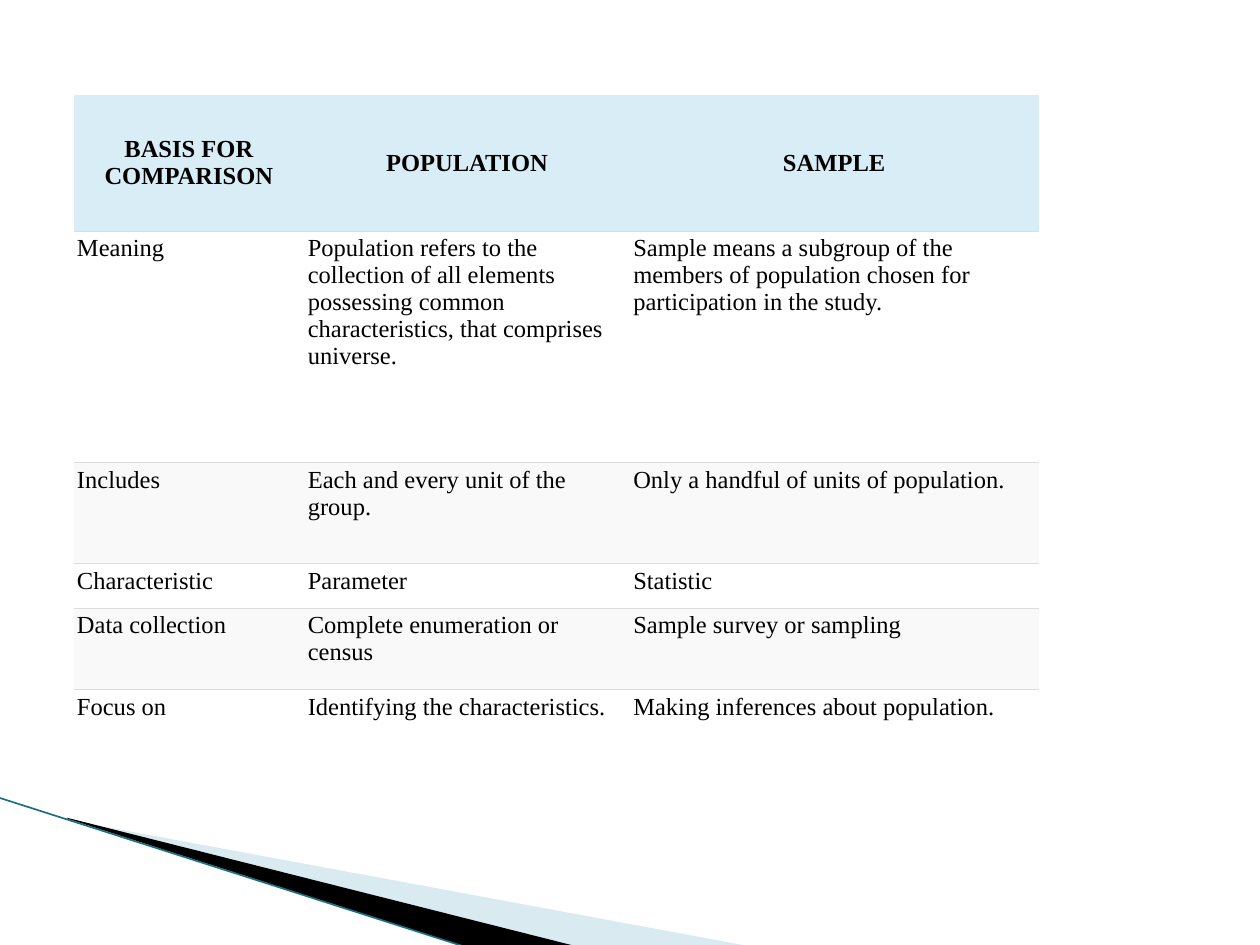
from pptx import Presentation
from pptx.dml.color import RGBColor
from pptx.enum.shapes import MSO_CONNECTOR
from pptx.enum.text import MSO_ANCHOR, PP_ALIGN
from pptx.oxml.ns import qn
from pptx.util import Pt
from lxml.etree import SubElement

FONT = "Times New Roman"
COLUMN_WIDTHS = [131.9, 186, 233.6]
ROW_HEIGHTS = [77.7, 132.5, 57.7, 25.2, 46.8, 57.6]
ROWS = [
    ["BASIS FOR COMPARISON", "POPULATION", "SAMPLE"],
    ["Meaning",
     "Population refers to the collection of all elements possessing common "
     "characteristics, that comprises universe.",
     "Sample means a subgroup of the members of population chosen for "
     "participation in the study."],
    ["Includes", "Each and every unit of the group.",
     "Only a handful of units of population."],
    ["Characteristic", "Parameter", "Statistic"],
    ["Data collection", "Complete enumeration or census",
     "Sample survey or sampling"],
    ["Focus on", "Identifying the characteristics.",
     "Making inferences about population."],
]


def color(hex_string):
    return RGBColor.from_string(hex_string)


def set_borders(cell, top, bottom):
    """Draw thin grey rules above and below where asked, and no other border."""
    properties = cell._tc.get_or_add_tcPr()
    sides = [("a:lnL", False), ("a:lnR", False), ("a:lnT", top), ("a:lnB", bottom)]
    for position, (tag, visible) in enumerate(sides):
        line = SubElement(properties, qn(tag), w=str(Pt(0.5)))
        if visible:
            fill = SubElement(line, qn("a:solidFill"))
            SubElement(fill, qn("a:srgbClr"), val="DDDDDD")
        else:
            SubElement(line, qn("a:noFill"))
        properties.insert(position, line)


def format_cell(cell, text, is_header, fill):
    cell.fill.solid()
    cell.fill.fore_color.rgb = color(fill)
    cell.margin_left = cell.margin_right = Pt(2)
    cell.margin_top = cell.margin_bottom = Pt(2)
    cell.vertical_anchor = MSO_ANCHOR.MIDDLE if is_header else MSO_ANCHOR.TOP
    cell.text_frame.text = text
    paragraph = cell.text_frame.paragraphs[0]
    paragraph.alignment = PP_ALIGN.CENTER if is_header else PP_ALIGN.LEFT
    font = paragraph.runs[0].font
    font.name, font.size, font.bold = FONT, Pt(14), is_header
    font.color.rgb = color("000000")


def add_comparison_table(slide, left, top):
    frame = slide.shapes.add_table(
        len(ROWS), len(COLUMN_WIDTHS), Pt(left), Pt(top),
        Pt(sum(COLUMN_WIDTHS)), Pt(sum(ROW_HEIGHTS)))
    table = frame.table
    table.first_row = table.horz_banding = False
    for column, width in zip(table.columns, COLUMN_WIDTHS):
        column.width = Pt(width)
    last = len(ROWS) - 1
    for index, (texts, height) in enumerate(zip(ROWS, ROW_HEIGHTS)):
        table.rows[index].height = Pt(height)
        fill = "D9EDF7" if index == 0 else "FFFFFF" if index % 2 else "F9F9F9"
        for cell, text in zip(table.rows[index].cells, texts):
            format_cell(cell, text, index == 0, fill)
            set_borders(cell, top=index > 0, bottom=index < last)


def add_wedge(slide, left, top, points, fill, opacity=100):
    """Add a filled outline whose points are offsets from left and top."""
    corners = [(Pt(left + x), Pt(top + y)) for x, y in points]
    builder = slide.shapes.build_freeform(*corners[0])
    builder.add_line_segments(corners[1:], close=True)
    shape = builder.convert_to_shape()
    shape.shadow.inherit = False
    shape.line.fill.background()
    shape.fill.solid()
    shape.fill.fore_color.rgb = color(fill)
    if opacity < 100:
        fill_color = shape.fill._xPr.find(qn("a:solidFill"))[0]
        SubElement(fill_color, qn("a:alpha"), val=str(opacity * 1000))


def add_corner_decoration(slide, left, top):
    add_wedge(slide, left + 40.3, top + 12.2,
              [(0, 0.7), (388.8, 72.7), (288.7, 72.7), (0, 0)], "A0CBDC", 40)
    add_wedge(slide, left + 38.9, top + 11.5,
              [(0, 0), (290.9, 73.4), (229.7, 74.2), (0.7, 0.7)], "000000")
    edge = slide.shapes.add_connector(
        MSO_CONNECTOR.STRAIGHT, Pt(left), Pt(top), Pt(left + 267.8), Pt(top + 85.7))
    edge.line.color.rgb = color("1B6F80")
    edge.line.width = Pt(0.95)
    SubElement(edge._element.spPr, qn("a:effectLst"))


def main():
    presentation = Presentation()
    presentation.slide_width, presentation.slide_height = Pt(720), Pt(540)
    slide = presentation.slides.add_slide(presentation.slide_layouts[6])
    add_corner_decoration(slide, left=-0.7, top=455.8)
    add_comparison_table(slide, left=42, top=54.3)
    presentation.save("out.pptx")


if __name__ == "__main__":
    main()
